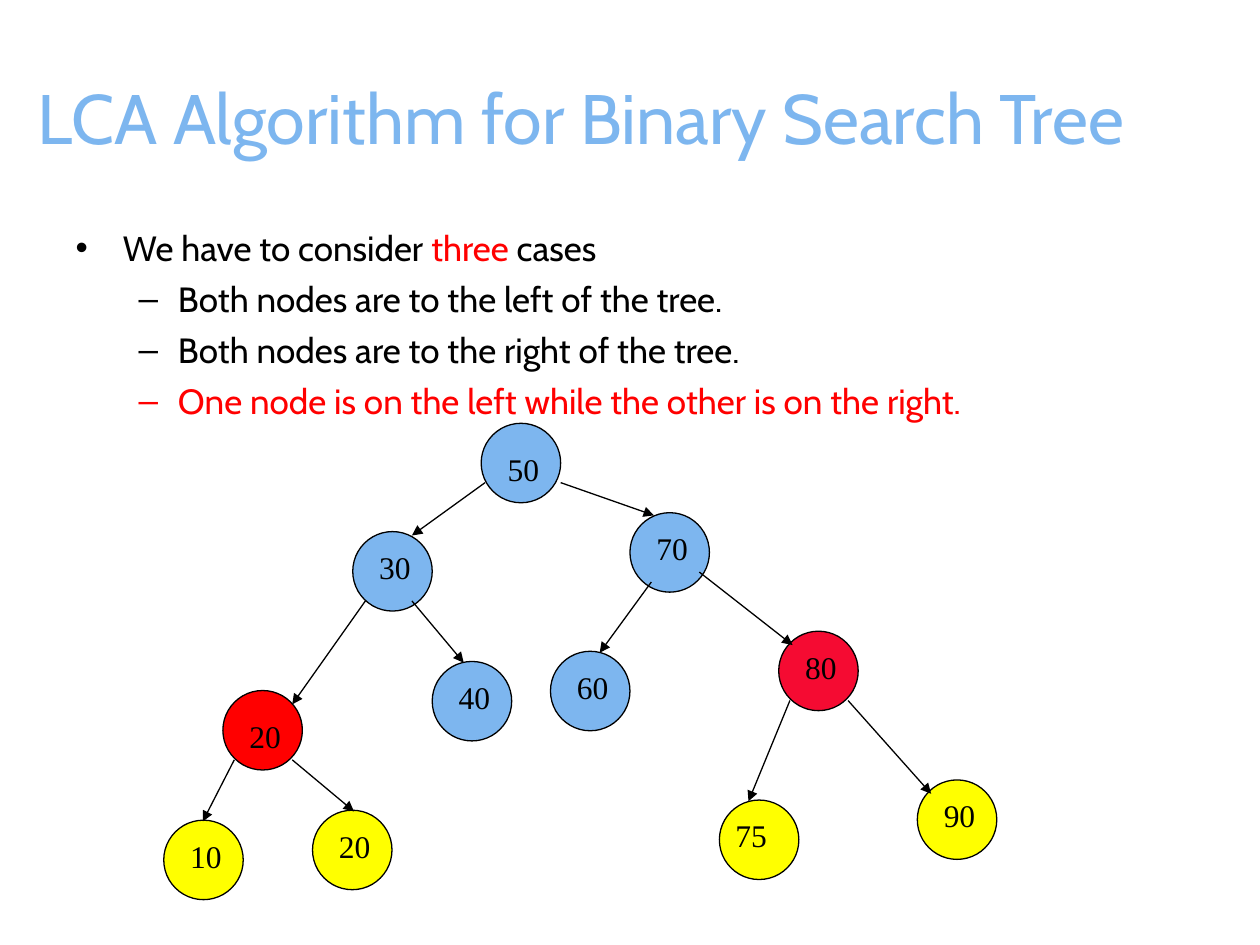
from lxml import etree
from pptx import Presentation
from pptx.dml import color
from pptx.enum import shapes, text
from pptx.oxml import ns
from pptx.util import Pt

BLUE, RED, CRIMSON, YELLOW, BLACK = "7DB6EF", "FF0000", "F50B32", "FFFF00", "000000"
NODE_SIZE = 45.4


def rgb(hex_code):
    return color.RGBColor.from_string(hex_code)


def style(span, font, size, hex_code):
    span.font.name = font
    span.font.size = Pt(size)
    span.font.color.rgb = rgb(hex_code)


deck = Presentation()
deck.slide_width, deck.slide_height = Pt(720), Pt(540)
page = deck.slides.add_slide(deck.slide_layouts[1])

title = page.shapes.title
title.left, title.top, title.width, title.height = Pt(14.4), Pt(21.6), Pt(705.6), Pt(90)
title.text_frame.text = "LCA Algorithm for Binary Search Tree"
title.text_frame.auto_size = text.MSO_AUTO_SIZE.NONE
title.text_frame.vertical_anchor = text.MSO_ANCHOR.MIDDLE
heading = title.text_frame.paragraphs[0]
heading.alignment = text.PP_ALIGN.LEFT
style(heading.runs[0], "Cabin", 40, BLUE)

# Level, then the coloured spans of each list item
items = [
    (0, [("We have to consider ", BLACK), ("three ", RED), ("cases", BLACK)]),
    (1, [("Both nodes are to the left of the tree.", BLACK)]),
    (1, [("Both nodes are to the right of the tree.", BLACK)]),
    (1, [("One node is on the left while the other is on the right.", RED)]),
]
indents = [(27, -27), (58.5, -22.5)]

body = page.placeholders[1]
body.left, body.top, body.width, body.height = Pt(36), Pt(126), Pt(648), Pt(356.4)
body.text_frame.auto_size = text.MSO_AUTO_SIZE.NONE
for index, (level, spans) in enumerate(items):
    para = body.text_frame.paragraphs[0] if index == 0 else body.text_frame.add_paragraph()
    para.level = level
    para.space_before = Pt(5)
    margin, hanging = indents[level]
    properties = para._p.get_or_add_pPr()
    properties.set("marL", str(Pt(margin)))
    properties.set("indent", str(Pt(hanging)))
    for wording, hex_code in spans:
        span = para.add_run()
        span.text = wording
        style(span, "Cabin", 20, hex_code)

# Key, left, top, fill, and the label's offset inside the circle
nodes = [
    ("50", 275, 241.9, BLUE, 8, 11.5),
    ("30", 201.6, 303.8, BLUE, 8, 5.8),
    ("70", 360, 293, BLUE, 8, 5.8),
    ("80", 445, 360.7, CRIMSON, 8, 5.8),
    ("60", 314.6, 372.2, BLUE, 8, 5.8),
    ("75", 411.1, 457.2, YELLOW, 2, 5.8),
    ("90", 524.2, 445.7, YELLOW, 8, 5.8),
    ("20", 127.4, 394.6, RED, 8, 11.5),
    ("40", 247, 378, BLUE, 8, 5.8),
    ("10", 93.6, 468.7, YELLOW, 8, 5.8),
    ("20", 178.6, 463, YELLOW, 8, 5.8),
]
for key, left, top, fill, dx, dy in nodes:
    circle = page.shapes.add_shape(
        shapes.MSO_SHAPE.OVAL, Pt(left), Pt(top), Pt(NODE_SIZE), Pt(NODE_SIZE))
    circle.shadow.inherit = False
    circle.fill.solid()
    circle.fill.fore_color.rgb = rgb(fill)
    circle.line.color.rgb = rgb(BLACK)
    circle.line.width = Pt(0.75)

# Start and end of each arrow from parent to child
edges = [
    (484.6, 400.3, 532.1, 453.6),
    (320.4, 275.8, 373.7, 294.5),
    (399.6, 326.9, 452.9, 368.6),
    (451.4, 400.3, 427.7, 457.9),
    (277.2, 275.8, 235.4, 306),
    (372.2, 332.6, 342.7, 373),
    (235.4, 343.4, 265, 378.7),
    (208.8, 343.4, 167, 402.5),
    (133.9, 434.2, 115.9, 469.4),
    (167, 434.2, 202.3, 463.7),
]
for edge in edges:
    arrow = page.shapes.add_connector(
        shapes.MSO_CONNECTOR.STRAIGHT, *[Pt(value) for value in edge])
    arrow.line.color.rgb = rgb(BLACK)
    arrow.line.width = Pt(0.75)
    etree.SubElement(arrow.line._get_or_add_ln(), ns.qn("a:tailEnd"), type="triangle")
    etree.SubElement(arrow._element.spPr, ns.qn("a:effectLst"))

for key, left, top, fill, dx, dy in nodes:
    label = page.shapes.add_textbox(Pt(left + dx), Pt(top + dy), Pt(32.4), Pt(28.8))
    label.text_frame.word_wrap = False
    label.text_frame.auto_size = text.MSO_AUTO_SIZE.SHAPE_TO_FIT_TEXT
    label.text_frame.text = key
    style(label.text_frame.paragraphs[0].runs[0], "Times New Roman", 18, BLACK)

deck.save("out.pptx")
